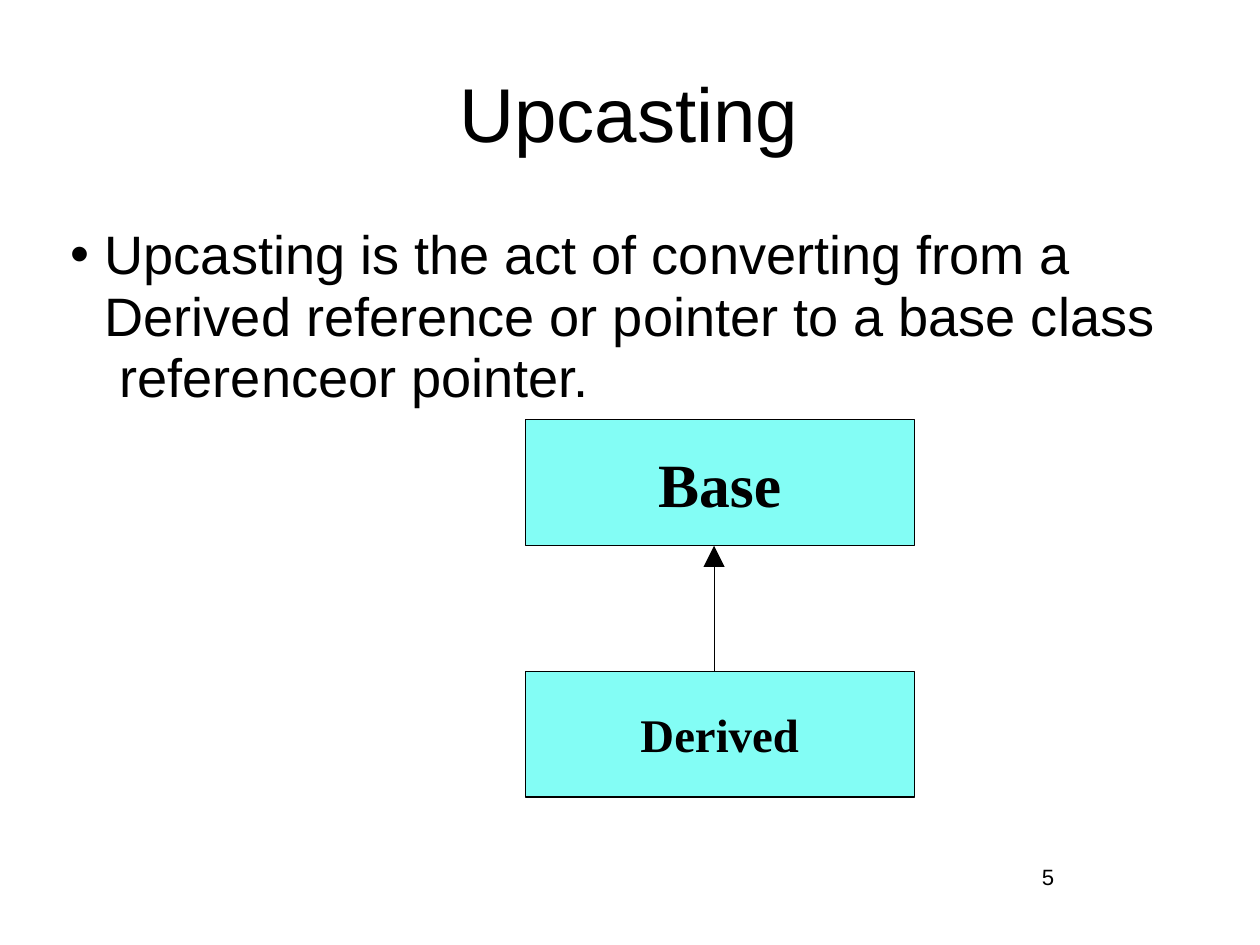
"""Build a slide that explains upcasting with a small class diagram."""
from dataclasses import dataclass

from lxml.etree import SubElement
from pptx import Presentation
from pptx.dml.color import RGBColor
from pptx.enum.shapes import MSO_CONNECTOR, MSO_SHAPE
from pptx.enum.text import MSO_ANCHOR, MSO_AUTO_SIZE, PP_ALIGN
from pptx.oxml.ns import qn
from pptx.util import Cm, Pt


@dataclass(frozen=True)
class Theme:
    ink: RGBColor = RGBColor(0x00, 0x00, 0x00)
    box_fill: RGBColor = RGBColor(0x83, 0xFD, 0xF5)
    sans: str = "Arial"
    serif: str = "Times New Roman"
    title_size: int = 62
    body_size: int = 44
    body_leading: int = 50
    base_size: int = 50
    derived_size: int = 38
    number_size: int = 18
    box_line: float = 1
    arrow_line: float = 0.25


@dataclass(frozen=True)
class ClassBox:
    name: str
    top: float
    size: int


THEME = Theme()
BOX_LEFT, BOX_WIDTH, BOX_HEIGHT = 15.06, 11.15, 3.61
ARROW_X = 20.47
HEAD = 0.61
BASE = ClassBox("Base", 12.04, THEME.base_size)
DERIVED = ClassBox("Derived", 19.25, THEME.derived_size)
BODY_LINES = (
    "Upcasting is the act of converting from a",
    "Derived reference or pointer to a base class",
    " referenceor pointer.",
)


def place(sp, left: float, top: float, width: float, height: float) -> None:
    sp.left, sp.top, sp.width, sp.height = map(Cm, (left, top, width, height))


def prepare_frame(tf, wrap: bool = True, anchor: MSO_ANCHOR = MSO_ANCHOR.TOP) -> None:
    tf.margin_left = tf.margin_top = tf.margin_right = tf.margin_bottom = 0
    tf.auto_size = MSO_AUTO_SIZE.NONE
    tf.word_wrap = wrap
    tf.vertical_anchor = anchor


def add_run(p, text: str, size: int, font: str = THEME.sans, bold: bool = False) -> None:
    r = p.add_run()
    r.text = text
    r.font.size, r.font.name, r.font.bold = Pt(size), font, bold
    r.font.color.rgb = THEME.ink


def add_title(s) -> None:
    sp = s.shapes.title
    place(sp, 13.16, 1.9, 9.8, 2.62)
    prepare_frame(sp.text_frame, wrap=False)
    p = sp.text_frame.paragraphs[0]
    p.alignment = PP_ALIGN.LEFT
    add_run(p, "Upcasting", THEME.title_size)


def add_body(s) -> None:
    sp = s.placeholders[1]
    place(sp, 2.01, 6.43, 31.5, 5.28)
    prepare_frame(sp.text_frame)
    p = sp.text_frame.paragraphs[0]
    p.space_before = Pt(0)
    p.line_spacing = Pt(THEME.body_leading)
    pPr = p._p.get_or_add_pPr()
    pPr.set("marL", str(Cm(0.99)))
    pPr.set("indent", str(Cm(-0.97)))
    SubElement(pPr, qn("a:buChar")).set("char", "•")
    for i, line in enumerate(BODY_LINES):
        if i:
            p.add_line_break()
        add_run(p, line, THEME.body_size)


def add_class_box(s, box: ClassBox) -> None:
    sp = s.shapes.add_shape(MSO_SHAPE.RECTANGLE, Cm(BOX_LEFT), Cm(box.top),
                            Cm(BOX_WIDTH), Cm(BOX_HEIGHT))
    sp.shadow.inherit = False
    sp.fill.solid()
    sp.fill.fore_color.rgb = THEME.box_fill
    sp.line.color.rgb = THEME.ink
    sp.line.width = Pt(THEME.box_line)
    prepare_frame(sp.text_frame, anchor=MSO_ANCHOR.MIDDLE)
    p = sp.text_frame.paragraphs[0]
    p.alignment = PP_ALIGN.CENTER
    add_run(p, box.name, box.size, THEME.serif, bold=True)


def add_inheritance_arrow(s, child: ClassBox, parent: ClassBox) -> None:
    tip = parent.top + BOX_HEIGHT
    shaft = s.shapes.add_connector(MSO_CONNECTOR.STRAIGHT, Cm(ARROW_X), Cm(child.top),
                                   Cm(ARROW_X), Cm(tip + HEAD))
    shaft.line.color.rgb = THEME.ink
    shaft.line.width = Pt(THEME.arrow_line)
    SubElement(shaft._element.spPr, qn("a:effectLst"))
    head = s.shapes.add_shape(MSO_SHAPE.ISOSCELES_TRIANGLE, Cm(ARROW_X - HEAD / 2),
                              Cm(tip), Cm(HEAD), Cm(HEAD))
    head.shadow.inherit = False
    head.fill.solid()
    head.fill.fore_color.rgb = THEME.ink
    head.line.fill.background()


def add_page_number(s) -> None:
    sp = s.shapes.add_textbox(Cm(29.87), Cm(24.77), Cm(0.43), Cm(0.79))
    prepare_frame(sp.text_frame, wrap=False)
    add_run(sp.text_frame.paragraphs[0], "5", THEME.number_size)


def main() -> None:
    prs = Presentation()
    prs.slide_width, prs.slide_height = Cm(36.12), Cm(27.1)
    s = prs.slides.add_slide(prs.slide_layouts[1])
    add_title(s)
    add_body(s)
    for box in (DERIVED, BASE):
        add_class_box(s, box)
    add_inheritance_arrow(s, DERIVED, BASE)
    add_page_number(s)
    prs.save("out.pptx")


if __name__ == "__main__":
    main()
